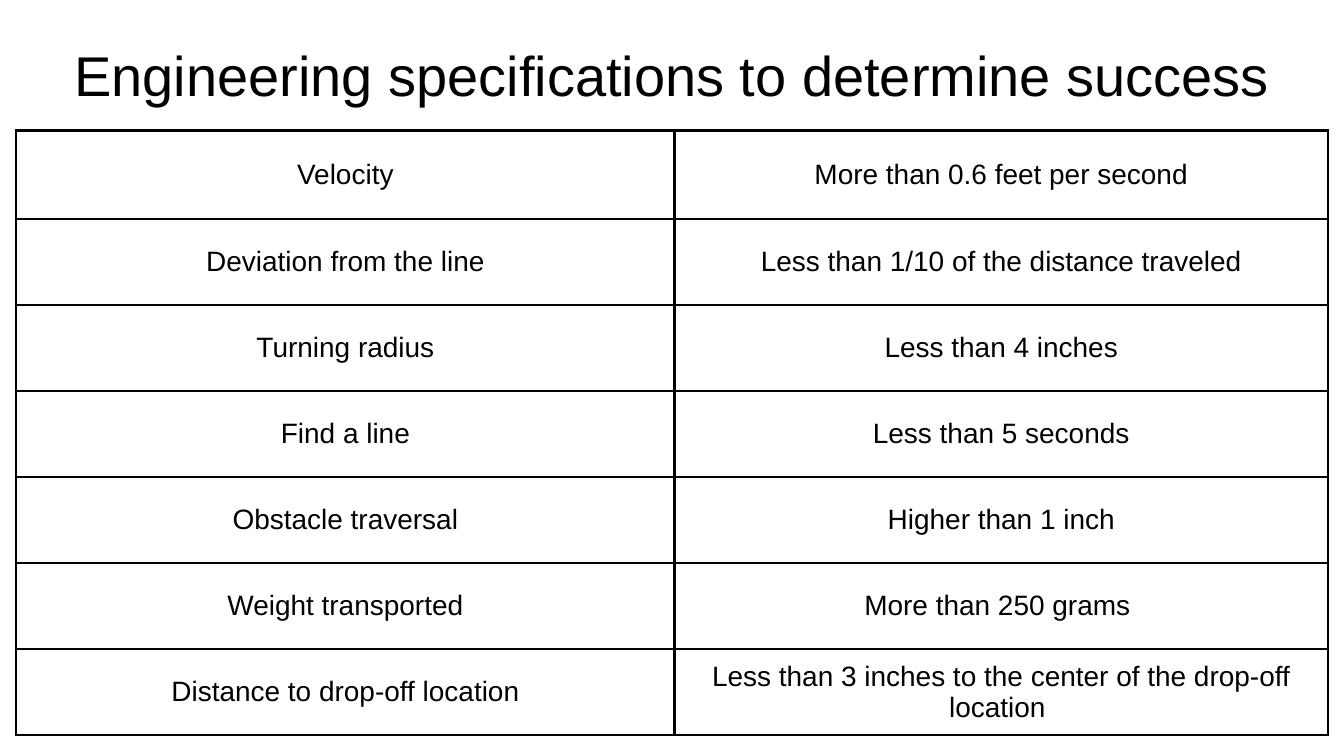
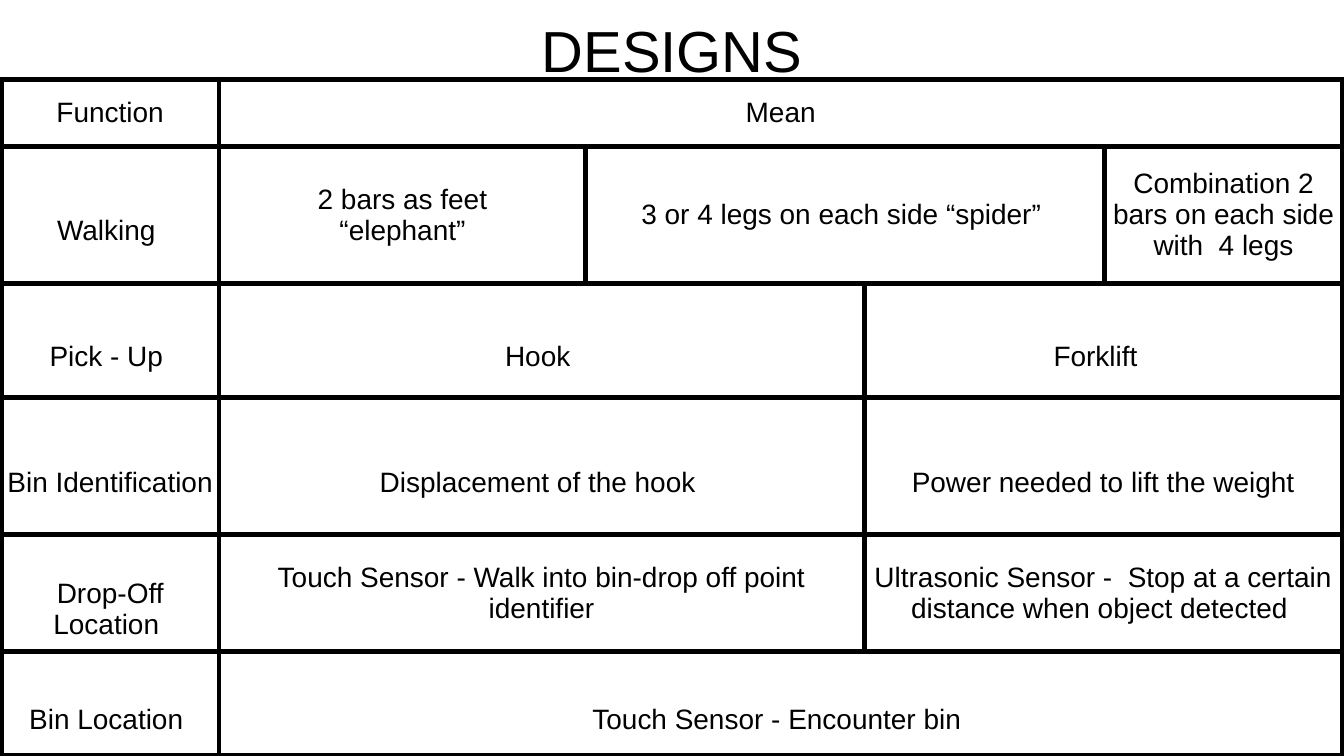
from lxml import etree
from pptx import Presentation
from pptx.dml.color import RGBColor
from pptx.enum.text import MSO_ANCHOR, PP_ALIGN
from pptx.oxml.ns import qn
from pptx.util import Inches, Pt

BLACK = RGBColor(0x00, 0x00, 0x00)
WHITE = RGBColor(0xFF, 0xFF, 0xFF)
FONT = "Arial"
CENTER = PP_ALIGN.CENTER
MIDDLE, TOP = MSO_ANCHOR.MIDDLE, MSO_ANCHOR.TOP

SLIDE_WIDTH, SLIDE_HEIGHT = 10, 5.625
BODY_SIZE = 15
TITLE_MARGIN = 0.11
CELL_MARGIN = 0.02
LINE_HEIGHT = 0.24  # one line of body text, in inches

SPEC_COLUMNS = [4.9, 4.86]
SPEC_ROW_HEIGHTS = [0.66] + [0.64] * 6
SPECIFICATIONS = [
    ("Velocity", "More than 0.6 feet per second"),
    ("Deviation from the line", "Less than 1/10 of the distance traveled"),
    ("Turning radius", "Less than 4 inches"),
    ("Find a line", "Less than 5 seconds"),
    ("Obstacle traversal", "Higher than 1 inch"),
    ("Weight transported", "More than 250 grams "),
    ("Distance to drop-off location",
     "Less than 3 inches to the center of the drop-off location "),
]

DESIGN_COLUMNS = [1.62, 2.73, 1.45, 0.52, 0.1, 1.69, 0.1, 1.77]
DESIGN_ROW_HEIGHTS = [0.5, 1.02, 0.85, 1.02, 0.87, 0.77]
# Each cell: text, columns spanned, whether the text sits half a line low
DESIGNS = [
    [("Function", 1, False), ("Mean", 7, False)],
    [("Walking ", 1, True), ("2 bars as feet\n“elephant”", 1, False),
     ("3 or 4 legs on each side “spider” ", 5, False),
     ("Combination 2 bars on each side with  4 legs", 1, False)],
    [("Pick - Up ", 1, True), ("Hook ", 4, True), ("Forklift  ", 3, True)],
    [("Bin Identification ", 1, True), ("Displacement of the hook ", 4, True),
     ("Power needed to lift the weight", 3, True)],
    [("Drop-Off Location ", 1, True),
     ("Touch Sensor - Walk into bin-drop off point identifier", 4, False),
     ("Ultrasonic Sensor -  Stop at a certain distance when object detected ",
      3, False)],
    [("Bin Location ", 1, True), ("Touch Sensor - Encounter bin ", 7, True)],
]


def set_margins(target, margin):
    """Give a text frame or a cell the same margin on all sides."""
    target.margin_left = target.margin_right = Inches(margin)
    target.margin_top = target.margin_bottom = Inches(margin)


def write_text(frame, text, size):
    """Fill a text frame with centred black paragraphs."""
    frame.word_wrap = True
    frame.text = text
    for para in frame.paragraphs:
        para.alignment = CENTER
        para.font.name = FONT
        para.font.size = Pt(size)
        para.font.color.rgb = BLACK


def add_title(page, text, left, top, size):
    """Add a title centred across the slide."""
    box = page.shapes.add_textbox(Inches(left), Inches(top),
                                  Inches(SLIDE_WIDTH - 2 * left), Inches(0.63))
    frame = box.text_frame
    frame.vertical_anchor = TOP
    set_margins(frame, TITLE_MARGIN)
    write_text(frame, text, size)


def style_cell(cell, border):
    """Give a cell a white fill, thin margins and four black borders."""
    cell.fill.solid()
    cell.fill.fore_color.rgb = WHITE
    cell.vertical_anchor = MIDDLE
    set_margins(cell, CELL_MARGIN)
    properties = cell._tc.get_or_add_tcPr()
    for position, side in enumerate(("lnL", "lnR", "lnT", "lnB")):
        line = etree.Element(qn(f"a:{side}"), w=str(Pt(border)))
        fill = etree.SubElement(line, qn("a:solidFill"))
        etree.SubElement(fill, qn("a:srgbClr"), val=str(BLACK))
        properties.insert(position, line)


def add_grid(page, left, top, widths, heights, rows, border):
    """Add a table whose rows list (text, span, lowered) cells."""
    table = page.shapes.add_table(
        len(heights), len(widths), Inches(left), Inches(top),
        Inches(sum(widths)), Inches(sum(heights))).table
    table.first_row = table.horz_banding = False
    for column, width in zip(table.columns, widths):
        column.width = Inches(width)
    for row, height in zip(table.rows, heights):
        row.height = Inches(height)
    for cell in table.iter_cells():
        style_cell(cell, border)

    for row_index, row in enumerate(rows):
        column_index = 0
        for text, span, lowered in row:
            cell = table.cell(row_index, column_index)
            column_index += span
            if span > 1:
                cell.merge(table.cell(row_index, column_index - 1))
            if lowered:
                cell.margin_top = Inches(CELL_MARGIN + LINE_HEIGHT)
            write_text(cell.text_frame, text, BODY_SIZE)


def main():
    deck = Presentation()
    deck.slide_width = Inches(SLIDE_WIDTH)
    deck.slide_height = Inches(SLIDE_HEIGHT)
    blank = deck.slide_layouts[6]

    # Engineering specifications
    page = deck.slides.add_slide(blank)
    add_title(page, "Engineering specifications to determine success",
              0.34, 0.19, 30)
    spec_rows = [[(text, 1, False) for text in row] for row in SPECIFICATIONS]
    add_grid(page, 0.12, 0.97, SPEC_COLUMNS, SPEC_ROW_HEIGHTS, spec_rows, 1.5)

    # Design options for each function
    page = deck.slides.add_slide(blank)
    add_title(page, "DESIGNS", 0, 0, 31)
    add_grid(page, 0.01, 0.59, DESIGN_COLUMNS, DESIGN_ROW_HEIGHTS, DESIGNS, 3)

    deck.save("out.pptx")


if __name__ == "__main__":
    main()
